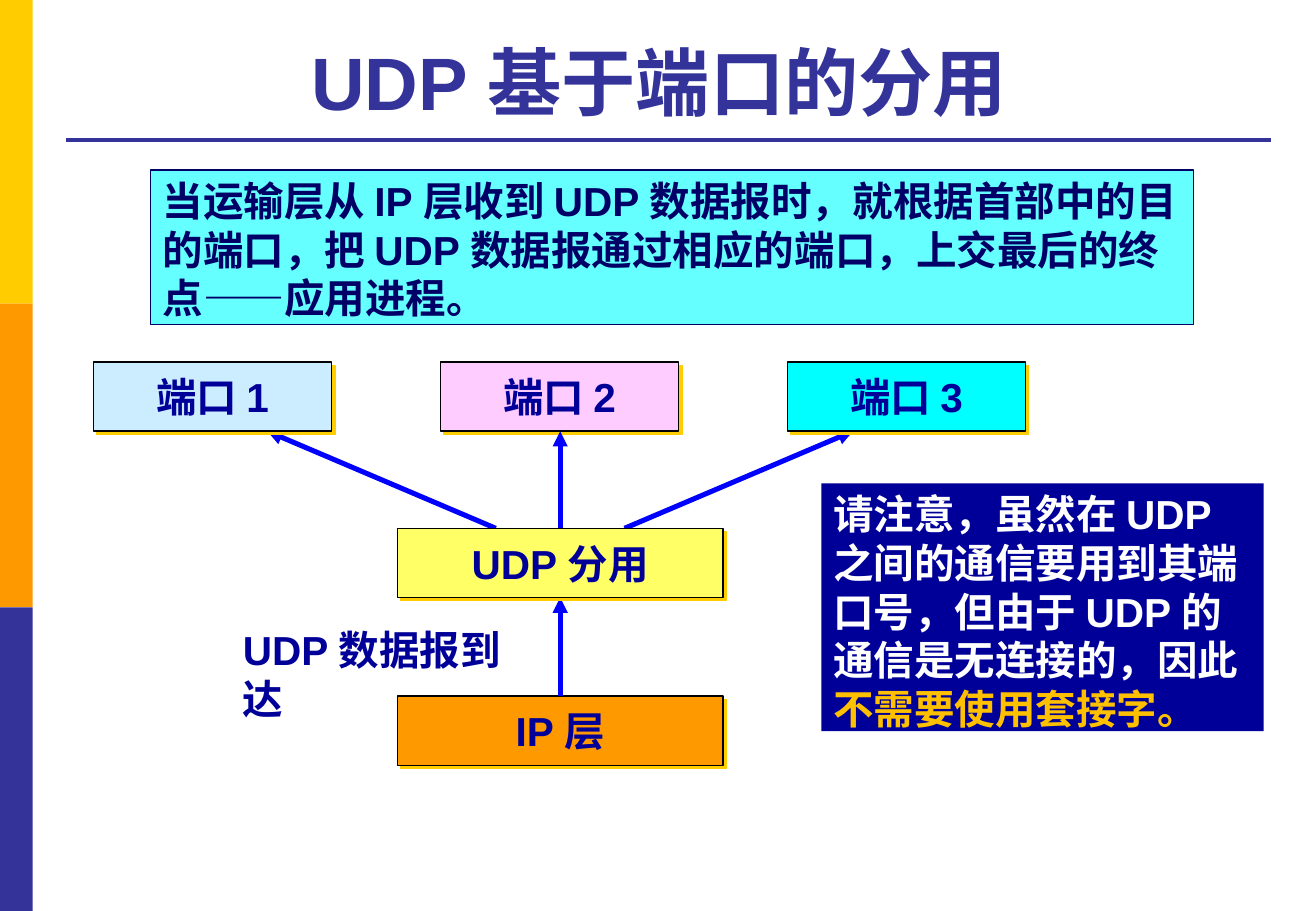
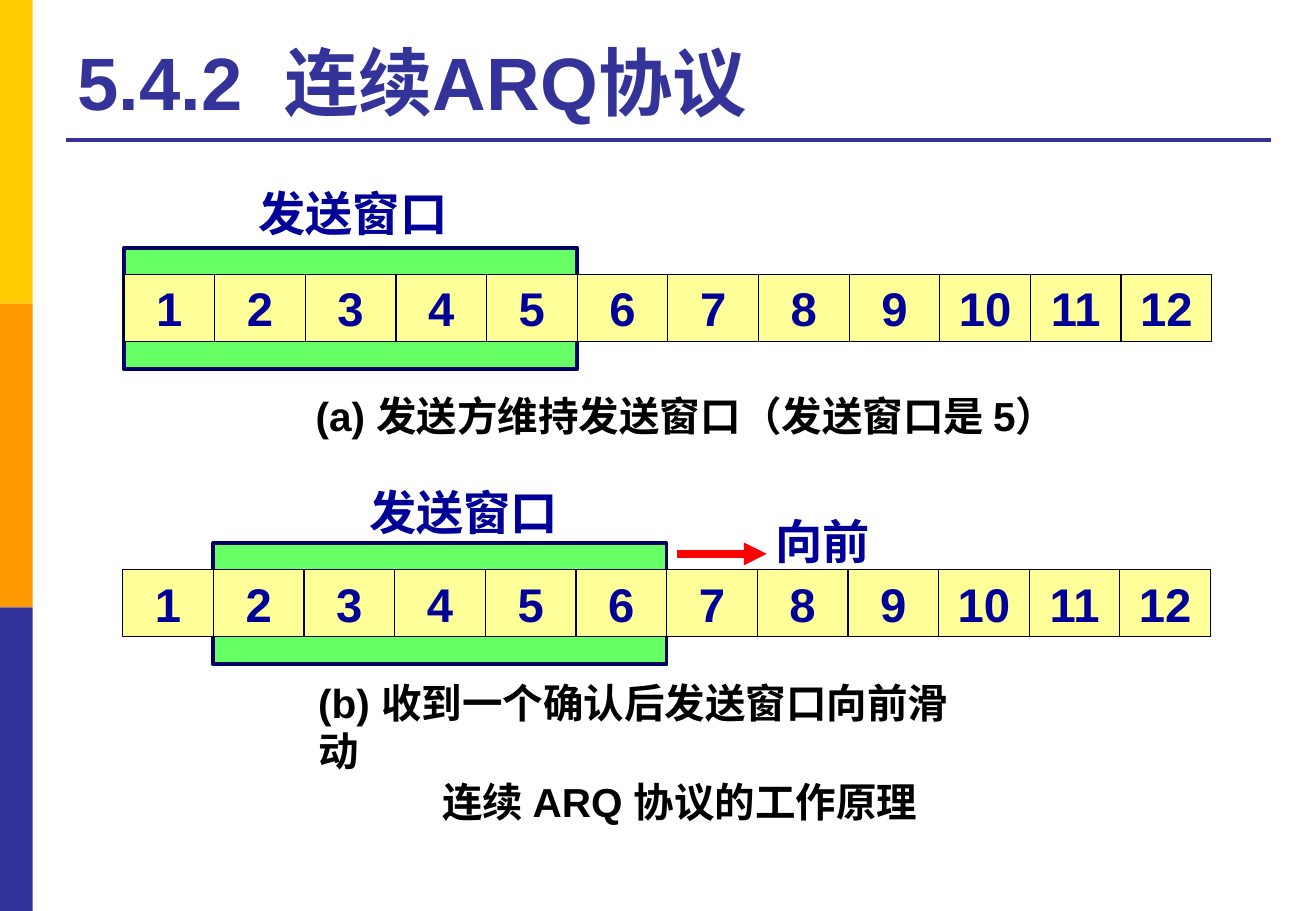
from lxml.etree import SubElement
from pptx import Presentation
from pptx.dml.color import RGBColor
from pptx.enum.shapes import MSO_CONNECTOR as Link, MSO_SHAPE as Shape
from pptx.enum.text import MSO_ANCHOR as Anchor, PP_ALIGN as Align
from pptx.oxml.ns import qn
from pptx.util import Inches, Pt

NAVY, DEEP, BLUE, BLACK = "000099", "000066", "333399", "000000"
GOLD, ORANGE, YELLOW = "FFCC00", "FF9900", "FFFF99"
BANDS = [GOLD, ORANGE, BLUE]

PORTS = [("端口 1", "CCECFF"), ("端口 2", "FFCCFF"), ("端口 3", "00FFFF")]
INTRO = ("当运输层从 IP 层收到 UDP 数据报时，就根据首部中的目的端口，"
         "把 UDP 数据报通过相应的端口，上交最后的终点——应用进程。")
NOTE = [("请注意，虽然在 UDP 之间的通信要用到其端口号，但由于 UDP 的通信是无连接的，因此", "FFFFFF"),
        ("不需要使用套接字。", "FFC000")]

WINDOW = "发送窗口"
ROWS = [
    dict(left=1.02, top=2.26, skip=0, name=(2.03, 1.47),
         note=("(a) 发送方维持发送窗口（发送窗口是 5）", 2.5, 3.17, 6.37)),
    dict(left=1.01, top=4.69, skip=1, name=(2.94, 3.93),
         note=("(b) 收到一个确认后发送窗口向前滑动", 2.52, 5.53, 5.69)),
]
COUNT, SIZE, CELL, HIGH = 12, 5, 0.746, 0.55

deck = Presentation()
deck.slide_width, deck.slide_height = Inches(10.83), Inches(7.5)


def color(code):
    return RGBColor.from_string(code)


def write(box, text, size=24, ink=NAVY, align=Align.LEFT, anchor=Anchor.TOP):
    frame = box.text_frame
    frame.word_wrap = True
    frame.vertical_anchor = anchor
    para = frame.paragraphs[0]
    para.alignment = align
    for words, tint in [(text, ink)] if isinstance(text, str) else text:
        run = para.add_run()
        run.text = words
        font = run.font
        font.name, font.size, font.bold = "Arial", Pt(size), True
        font.color.rgb = color(tint)


def label(slide, text, x, y, w, h, **form):
    write(slide.shapes.add_textbox(*map(Inches, (x, y, w, h))), text, **form)


def block(slide, x, y, w, h, fill, edge=None, width=0.75):
    box = slide.shapes.add_shape(Shape.RECTANGLE, *map(Inches, (x, y, w, h)))
    box.shadow.inherit = False
    box.fill.solid()
    box.fill.fore_color.rgb = color(fill)
    if edge:
        box.line.color.rgb = color(edge)
        box.line.width = Pt(width)
    else:
        box.line.fill.background()
    return box


def stroke(slide, start, end, ink=BLACK, width=0.75, arrow=False):
    line = slide.shapes.add_connector(Link.STRAIGHT, *map(Inches, start + end))
    line.line.color.rgb = color(ink)
    line.line.width = Pt(width)
    if arrow:
        SubElement(line.line._get_or_add_ln(), qn("a:tailEnd"), type="triangle")
    SubElement(line._element.spPr, qn("a:effectLst"))


def node(slide, text, x, y, w, fill):
    box = block(slide, x, y, w, 0.57, fill, BLACK)
    effects = box._element.spPr.find(qn("a:effectLst"))
    shade = SubElement(effects, qn("a:outerShdw"), dist=str(Pt(2.8)),
                       dir="2700000", algn="ctr", rotWithShape="0")
    SubElement(shade, qn("a:srgbClr"), val=GOLD)
    write(box, text, align=Align.CENTER, anchor=Anchor.MIDDLE)


def page(title, align):
    slide = deck.slides.add_slide(deck.slide_layouts[6])
    for i, fill in enumerate(BANDS):
        block(slide, 0, 2.5 * i, 0.27, 2.5, fill)
    stroke(slide, (0.54, 1.15), (10.46, 1.15), BLUE, 2.25)
    label(slide, title, 0.54, 0.21, 9.91, 0.87, size=44, ink=BLUE,
          align=align, anchor=Anchor.BOTTOM)
    return slide


def ports():
    slide = page("UDP 基于端口的分用 ", Align.CENTER)
    mid, port_y, udp_y, ip_y = 4.61, 2.98, 4.35, 5.73
    foot = port_y + 0.57

    def port(i):
        text, fill = PORTS[i]
        node(slide, text, 0.77 + 2.855 * i, port_y, 1.96, fill)

    node(slide, "IP 层", 3.27, ip_y, 2.68, ORANGE)
    label(slide, "UDP 数据报到达", 1.9, 5.1, 2.51, 0.49)
    port(1)
    stroke(slide, (mid, ip_y), (mid, udp_y + 0.57), "0000FF", 3, True)
    for side in (0, 1, -1):
        stroke(slide, (mid + 0.53 * side, udp_y), (mid + 2.41 * side, foot),
               "0000FF", 3, True)
    port(2)
    port(0)
    node(slide, "UDP 分用", 3.27, udp_y, 2.68, "FFFF66")
    write(block(slide, 1.24, 1.4, 8.58, 1.27, "66FFFF", DEEP), INTRO, ink=DEEP)
    write(block(slide, 6.76, 3.98, 3.64, 2.04, NAVY), NOTE)


def row(slide, left, top, skip, name, note):
    block(slide, left + CELL * skip, top - 0.22, CELL * SIZE, 1, "66FF66", DEEP, 2.25)
    block(slide, left, top, CELL * COUNT, HIGH, YELLOW, BLACK)
    for i in range(COUNT):
        x = left + CELL * i
        label(slide, str(i + 1), x, top, CELL, HIGH, size=28,
              align=Align.CENTER, anchor=Anchor.MIDDLE)
        if i:
            stroke(slide, (x, top), (x, top + HIGH))
    label(slide, WINDOW, *name, 1.78, 0.57, size=28)
    text, x, y, w = note
    label(slide, text, x, y, w, 0.49, ink=BLACK)


def window():
    slide = page("5.4.2  连续ARQ协议", Align.LEFT)
    for item in ROWS:
        row(slide, **item)
    stroke(slide, (5.57, 4.56), (6.31, 4.56), "FF0000", 4.5, True)
    label(slide, "向前", 6.28, 4.17, 0.99, 0.57, size=28)
    label(slide, "连续 ARQ 协议的工作原理", 2.72, 6.35, 5.75, 0.5,
          ink=BLACK, align=Align.CENTER)


ports()
window()
deck.save("out.pptx")
